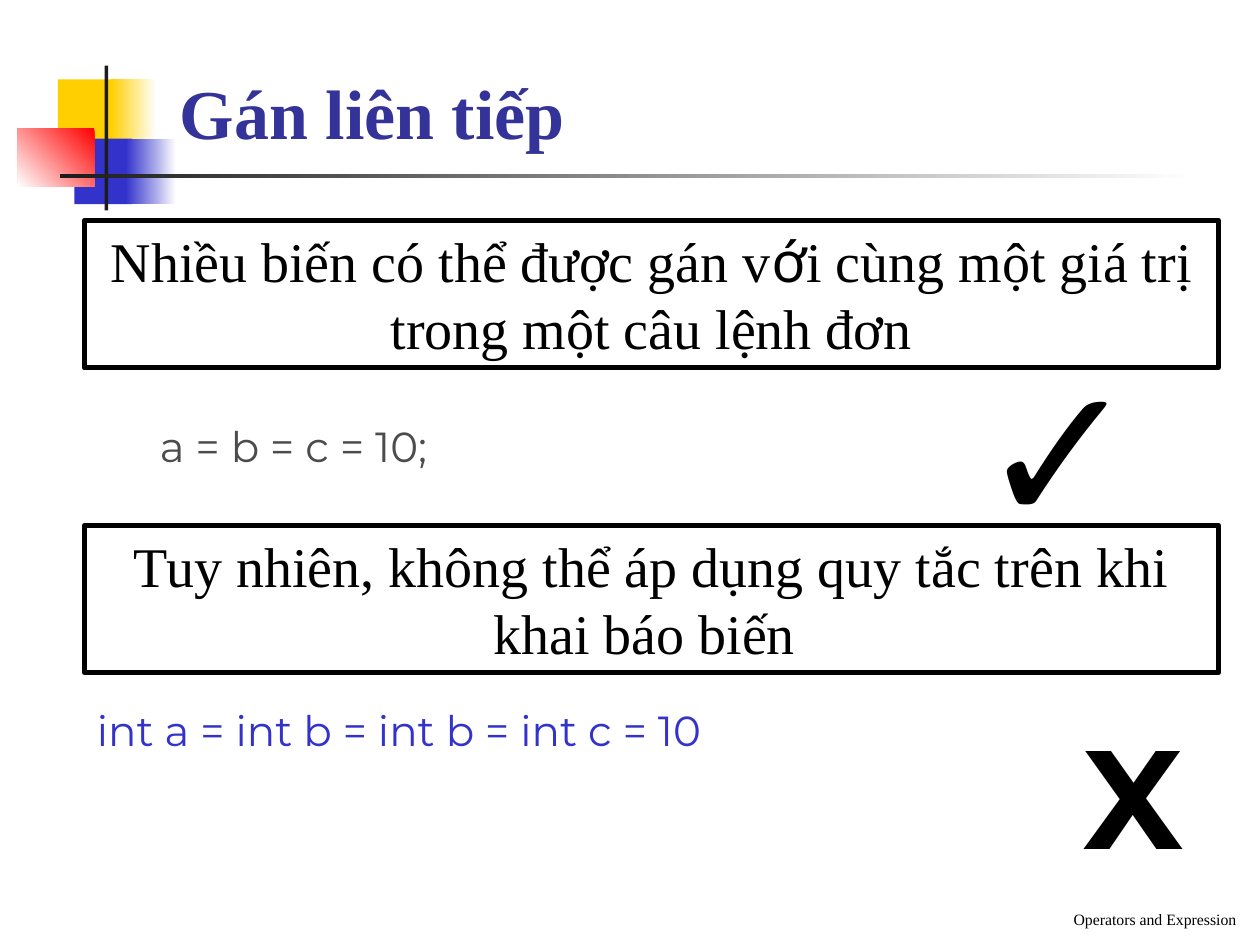
"""Build the slide on chained assignment."""
import dataclasses
import typing

import pptx
import pptx.dml.color
import pptx.enum.shapes
import pptx.enum.text
import pptx.util

Inches = pptx.util.Inches
Pt = pptx.util.Pt
ANCHOR = pptx.enum.text.MSO_ANCHOR
ALIGN = pptx.enum.text.PP_ALIGN
GROW = pptx.enum.text.MSO_AUTO_SIZE.SHAPE_TO_FIT_TEXT

COLORS = {
    "white": "FFFFFF", "yellow": "FFCF01", "blue": "3333CC", "red": "FF0000",
    "dark": "1C1C1C", "title": "333399", "gray": "4C4C4C", "black": "000000",
}
SERIF, SANS = "Times New Roman", "Montserrat"
FRAME_TEXT = {"size": Pt(32), "name": SERIF}
CODE_TEXT = {"size": Pt(24), "name": SANS}

Box = typing.Tuple[float, float, float, float]


@dataclasses.dataclass
class Block:
    """A solid or gradient rectangle of the corner ornament."""
    box: Box
    colors: typing.Tuple[str, ...]
    angle: float = 180


@dataclasses.dataclass
class Label:
    """A text box, outlined when framed, with runs of text and font."""
    box: Box
    runs: typing.List[typing.Tuple[str, dict]]
    color: str = "black"
    frame: dict = dataclasses.field(default_factory=dict)
    para: dict = dataclasses.field(default_factory=dict)
    framed: bool = False


def rgb(name: str) -> pptx.dml.color.RGBColor:
    """Return the named colour."""
    return pptx.dml.color.RGBColor.from_string(COLORS[name])


def apply(target: typing.Any, values: dict) -> None:
    """Set each format value on the target."""
    for name, value in values.items():
        setattr(target, name, value)


def add_rect(s: typing.Any, box: Box) -> typing.Any:
    """Add a rectangle without shadow."""
    sp = s.shapes.add_shape(
        pptx.enum.shapes.MSO_SHAPE.RECTANGLE, *map(Inches, box))
    sp.shadow.inherit = False
    return sp


def draw_block(s: typing.Any, block: Block) -> None:
    """Draw one ornament rectangle."""
    sp = add_rect(s, block.box)
    sp.line.fill.background()
    if len(block.colors) == 1:
        sp.fill.solid()
        sp.fill.fore_color.rgb = rgb(block.colors[0])
        return
    sp.fill.gradient()
    sp.fill.gradient_angle = block.angle
    for stop, name in zip(sp.fill.gradient_stops, block.colors):
        stop.color.rgb = rgb(name)


def draw_label(s: typing.Any, label: Label) -> None:
    """Draw one text box or framed text."""
    if label.framed:
        sp = add_rect(s, label.box)
        sp.fill.background()
        sp.line.color.rgb = rgb("black")
        sp.line.width = Pt(3)
    else:
        sp = s.shapes.add_textbox(*map(Inches, label.box))
    tf = sp.text_frame
    apply(tf, {"word_wrap": True, "vertical_anchor": ANCHOR.TOP, **label.frame})
    p = tf.paragraphs[0]
    apply(p, {"alignment": ALIGN.LEFT, **label.para})
    for text, font in label.runs:
        r = p.add_run()
        r.text = text
        apply(r.font, font)
        r.font.color.rgb = rgb(label.color)


def framed_label(top: float, runs: typing.List[typing.Tuple[str, dict]]) -> Label:
    """Describe a full-width outlined statement."""
    return Label((0.67, top, 9, 1.17), runs, frame={"auto_size": GROW},
                 para={"alignment": ALIGN.CENTER, "space_before": Pt(20)},
                 framed=True)


BLOCKS = [
    Block((0.46, 0.63, 0.48, 0.52), ("yellow",)),
    Block((0.88, 0.63, 0.36, 0.52), ("white", "yellow")),
    Block((0.59, 1.1, 0.46, 0.52), ("blue",)),
    Block((1, 1.1, 0.4, 0.52), ("white", "blue")),
    Block((0.14, 1.02, 0.61, 0.46), ("red", "white"), 225),
    Block((0.83, 0.52, 0.03, 1.15), ("dark",)),
    Block((0.48, 1.38, 9, 0.03), ("white", "dark")),
]
LABELS = [
    Label((1.33, 0.5, 4.78, 0.77),
          [("Gán liên tiếp", {"size": Pt(40), "name": SERIF, "bold": True})],
          "title", {"vertical_anchor": ANCHOR.BOTTOM}),
    Label((1.17, 3.29, 6.25, 0.71), [("a = b = c = 10;", CODE_TEXT)],
          "gray", {"word_wrap": False}),
    Label((7.67, 2.58, 1.61, 1.94),
          [("✓", {"size": Pt(110), "name": "Arial"})],
          frame={"auto_size": GROW}),
    framed_label(4.17, [
        ("Tuy nhiên, không thể áp dụng quy tắc trên khi khai báo biến ",
         FRAME_TEXT)]),
    Label((0.67, 5.54, 7.25, 0.71),
          [("int a = int b = int b = int c = 10", CODE_TEXT)],
          "blue", {"word_wrap": False}),
    Label((8.5, 5.58, 0.83, 0.67),
          [("X", {"size": Pt(80), "name": SANS, "bold": True})],
          frame={"word_wrap": False}),
    framed_label(1.75, [
        ("Nhiều biến có thể được gán v", FRAME_TEXT),
        ("ớ", {**FRAME_TEXT, "name": "Karla"}),
        ("i cùng một giá trị trong một câu lệnh đơn", FRAME_TEXT)]),
    Label((3.83, 6.92, 6.08, 0.5),
          [("Operators and Expression", {"size": Pt(9), "name": SERIF})],
          frame={"vertical_anchor": ANCHOR.BOTTOM},
          para={"alignment": ALIGN.RIGHT}),
]


def main() -> None:
    """Build and save the presentation."""
    prs = pptx.Presentation()
    apply(prs, {"slide_width": Inches(10), "slide_height": Inches(7.5)})
    s = prs.slides.add_slide(prs.slide_layouts[6])
    for block in BLOCKS:
        draw_block(s, block)
    for label in LABELS:
        draw_label(s, label)
    prs.save("out.pptx")


if __name__ == "__main__":
    main()
